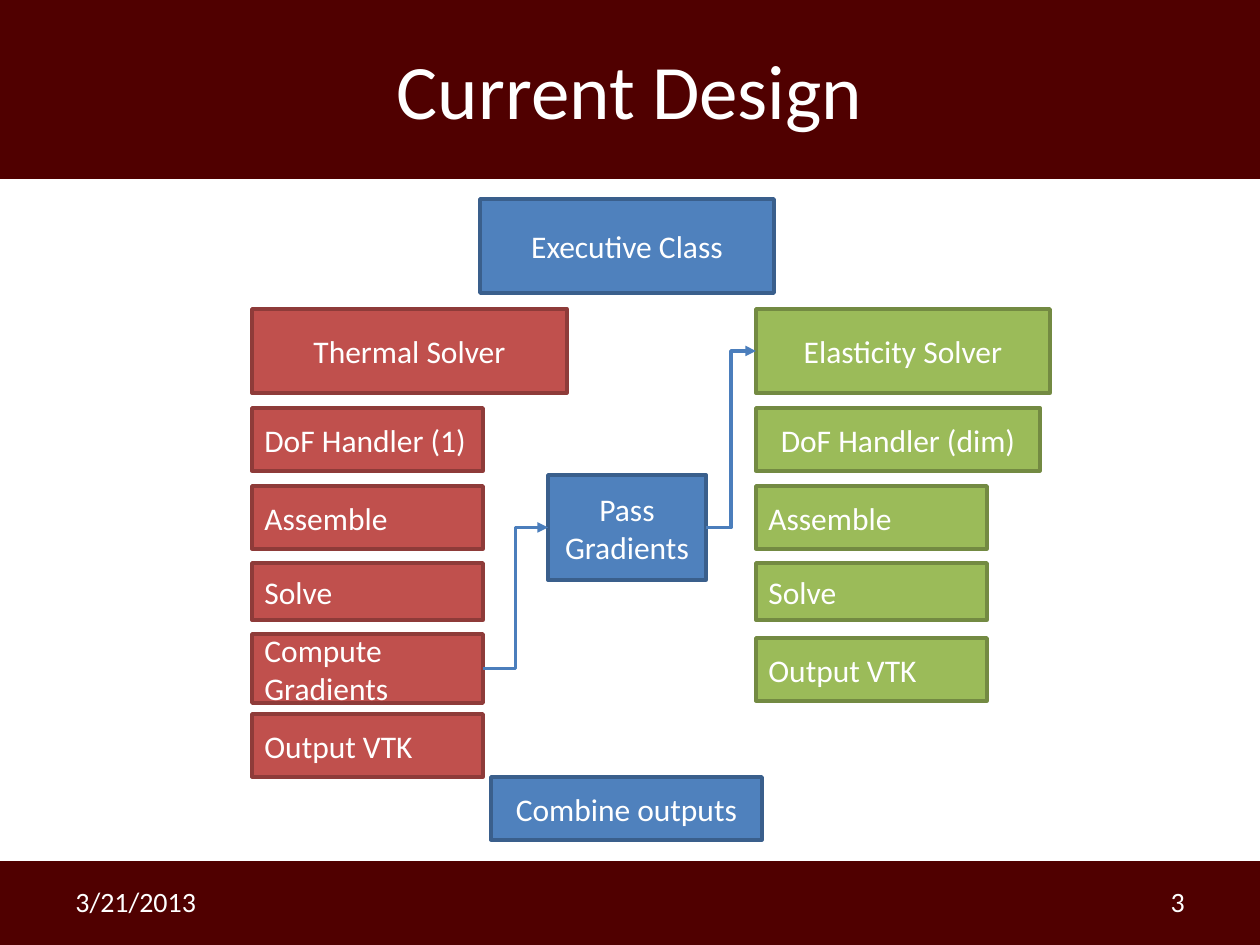
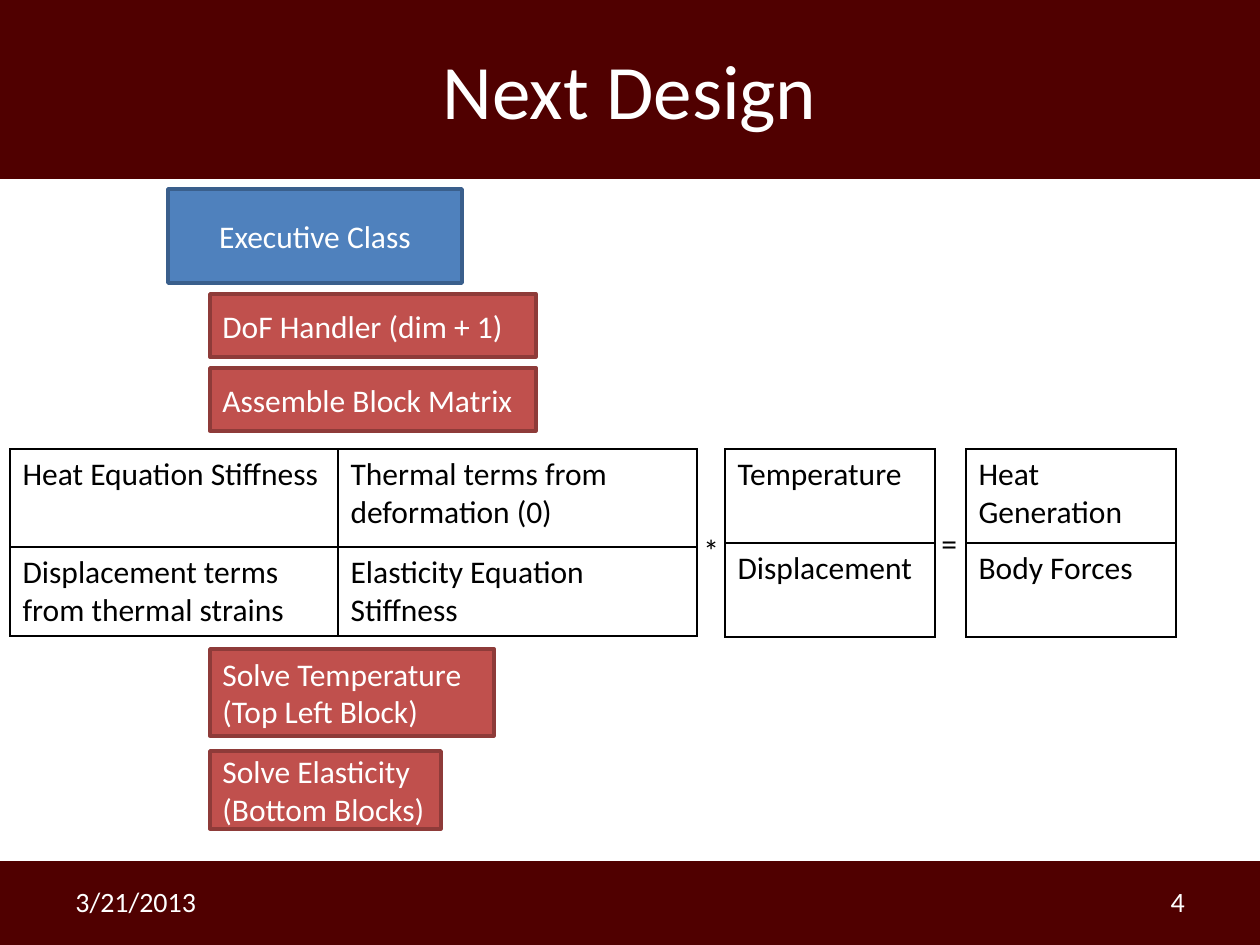
from lxml import etree
from pptx import Presentation
from pptx.dml.color import RGBColor
from pptx.enum.shapes import MSO_CONNECTOR, MSO_SHAPE
from pptx.enum.text import MSO_ANCHOR, PP_ALIGN
from pptx.oxml.ns import qn
from pptx.util import Pt

EMU_PER_PX = 914400 / 126
SLIDE_WIDTH, SLIDE_HEIGHT = 1260, 945
TITLE_ONLY = 5

RECTANGLE = MSO_SHAPE.RECTANGLE
ELBOW = MSO_CONNECTOR.ELBOW
MIDDLE, TOP = MSO_ANCHOR.MIDDLE, MSO_ANCHOR.TOP
LEFT, CENTER, RIGHT = PP_ALIGN.LEFT, PP_ALIGN.CENTER, PP_ALIGN.RIGHT
LEFT_SIDE, RIGHT_SIDE = 1, 3

FONT = "Calibri"
WHITE = RGBColor(0xFF, 0xFF, 0xFF)
BLACK = RGBColor(0x00, 0x00, 0x00)
MAROON = RGBColor(0x50, 0x00, 0x00)
ARROW_BLUE = RGBColor(0x4B, 0x7E, 0xBC)
BLUE = RGBColor(0x4F, 0x81, 0xBD), RGBColor(0x3A, 0x5F, 0x8C)
RED = RGBColor(0xC0, 0x50, 0x4D), RGBColor(0x8E, 0x3B, 0x39)
GREEN = RGBColor(0x9B, 0xBB, 0x59), RGBColor(0x73, 0x8A, 0x42)

DATE = "3/21/2013"
STEP_WIDTH, STEP_HEIGHT = 231, 63
EXECUTIVE_SIZE = 294, 94
TABLE_TOP, VECTOR_WIDTH, VECTOR_ROWS = 449, 210, [94, 94]


def px(*lengths):
    return [round(length * EMU_PER_PX) for length in lengths]


def write(frame, text, size=18, color=WHITE, align=LEFT, anchor=MIDDLE):
    frame.word_wrap = True
    frame.vertical_anchor = anchor
    paragraph = frame.paragraphs[0]
    paragraph.text = text
    paragraph.alignment = align
    paragraph.font.name = FONT
    paragraph.font.size = Pt(size)
    paragraph.font.color.rgb = color


def add_band(slide, top, height):
    band = slide.shapes.add_shape(RECTANGLE, *px(0, top, SLIDE_WIDTH, height))
    band.shadow.inherit = False
    band.fill.solid()
    band.fill.fore_color.rgb = MAROON
    band.line.fill.background()


def add_label(slide, text, bounds, **style):
    label = slide.shapes.add_textbox(*px(*bounds))
    write(label.text_frame, text, **style)


def add_block(slide, text, bounds, palette, align=LEFT):
    fill, outline = palette
    block = slide.shapes.add_shape(RECTANGLE, *px(*bounds))
    block.shadow.inherit = False
    block.fill.solid()
    block.fill.fore_color.rgb = fill
    block.line.color.rgb = outline
    block.line.width = Pt(2)
    write(block.text_frame, text, align=align)
    return block


def add_arrow(slide, source, target):
    arrow = slide.shapes.add_connector(ELBOW, 0, 0, 0, 0)
    arrow.begin_connect(source, RIGHT_SIDE)
    arrow.end_connect(target, LEFT_SIDE)
    arrow.line.color.rgb = ARROW_BLUE
    arrow.line.width = Pt(2)
    etree.SubElement(arrow.line._get_or_add_ln(), qn("a:tailEnd"), type="triangle")
    etree.SubElement(arrow.element.spPr, qn("a:effectLst"))


def add_borders(cell):
    properties = cell._tc.get_or_add_tcPr()
    for position, side in enumerate(("lnL", "lnR", "lnT", "lnB")):
        border = etree.Element(qn(f"a:{side}"), w=str(Pt(1)))
        fill = etree.SubElement(border, qn("a:solidFill"))
        etree.SubElement(fill, qn("a:srgbClr"), val=str(BLACK))
        properties.insert(position, border)


def add_matrix(slide, left, widths, heights, entries):
    bounds = px(left, TABLE_TOP, sum(widths), sum(heights))
    matrix = slide.shapes.add_table(len(heights), len(widths), *bounds).table
    matrix.first_row = matrix.horz_banding = False
    for column, width in zip(matrix.columns, px(*widths)):
        column.width = width
    for row, height, texts in zip(matrix.rows, px(*heights), entries):
        row.height = height
        for cell, text in zip(row.cells, texts):
            write(cell.text_frame, text, color=BLACK)
            cell.vertical_anchor = TOP
            cell.fill.background()
            add_borders(cell)


def add_design_slide(deck, title, number):
    slide = deck.slides.add_slide(deck.slide_layouts[TITLE_ONLY])
    add_band(slide, 861, 84)
    add_band(slide, 0, 179)
    heading = slide.shapes.title
    heading.left, heading.top, heading.width, heading.height = px(63, 10, 1134, 158)
    write(heading.text_frame, title, size=44, align=CENTER)
    slide.shapes.element.append(heading.element)
    add_label(slide, str(number), (903, 876, 294, 50), size=16, align=RIGHT)
    add_label(slide, DATE, (63, 876, 294, 50), size=16)
    return slide


def build_current_design(deck):
    slide = add_design_slide(deck, "Current Design", 3)
    thermal_left, elasticity_left = 252, 756

    add_block(slide, "Executive Class", (480, 199, *EXECUTIVE_SIZE), BLUE, CENTER)
    add_block(slide, "Thermal Solver", (thermal_left, 309, 315, 84), RED, CENTER)
    elasticity = add_block(slide, "Elasticity Solver",
                           (elasticity_left, 309, 294, 84), GREEN, CENTER)
    add_block(slide, "DoF Handler (1)",
              (thermal_left, 408, STEP_WIDTH, STEP_HEIGHT), RED)
    add_block(slide, "DoF Handler (dim)",
              (elasticity_left, 408, 284, STEP_HEIGHT), GREEN, CENTER)
    for left, palette, output_top in ((thermal_left, RED, 714),
                                      (elasticity_left, GREEN, 638)):
        for text, top, height in (("Assemble", 486, STEP_HEIGHT),
                                  ("Solve", 563, 57),
                                  ("Output VTK", output_top, STEP_HEIGHT)):
            add_block(slide, text, (left, top, STEP_WIDTH, height), palette)
    compute = add_block(slide, "Compute Gradients",
                        (thermal_left, 634, STEP_WIDTH, 69), RED)
    gradients = add_block(slide, "Pass Gradients", (548, 475, 158, 105), BLUE, CENTER)
    add_arrow(slide, compute, gradients)
    add_arrow(slide, gradients, elasticity)
    add_block(slide, "Combine outputs", (491, 777, 271, STEP_HEIGHT), BLUE, CENTER)


def build_next_design(deck):
    slide = add_design_slide(deck, "Next Design", 4)
    add_block(slide, "Executive Class", (168, 189, *EXECUTIVE_SIZE), BLUE, CENTER)
    for text, top, width, height in (
        ("DoF Handler (dim + 1)", 294, 326, STEP_HEIGHT),
        ("Assemble Block Matrix", 368, 326, STEP_HEIGHT),
        ("Solve Temperature (Top Left Block)", 649, 284, 87),
        ("Solve Elasticity (Bottom Blocks)", 751, STEP_WIDTH, 78),
    ):
        add_block(slide, text, (210, top, width, height), RED)

    add_matrix(slide, 10, [328, 359], [98, 89], [
        ["Heat Equation Stiffness", "Thermal terms from deformation (0)"],
        ["Displacement terms from thermal strains", "Elasticity Equation Stiffness"],
    ])
    add_matrix(slide, 725, [VECTOR_WIDTH], VECTOR_ROWS,
               [["Temperature"], ["Displacement"]])
    add_matrix(slide, 966, [VECTOR_WIDTH], VECTOR_ROWS,
               [["Heat Generation"], ["Body Forces"]])
    for operator, left, top in (("*", 691, 525), ("=", 929, 518)):
        add_label(slide, operator, (left, top, 38, 53), color=BLACK, anchor=TOP)


def main():
    deck = Presentation()
    deck.slide_width, deck.slide_height = px(SLIDE_WIDTH, SLIDE_HEIGHT)
    build_current_design(deck)
    build_next_design(deck)
    deck.save("out.pptx")


if __name__ == "__main__":
    main()
